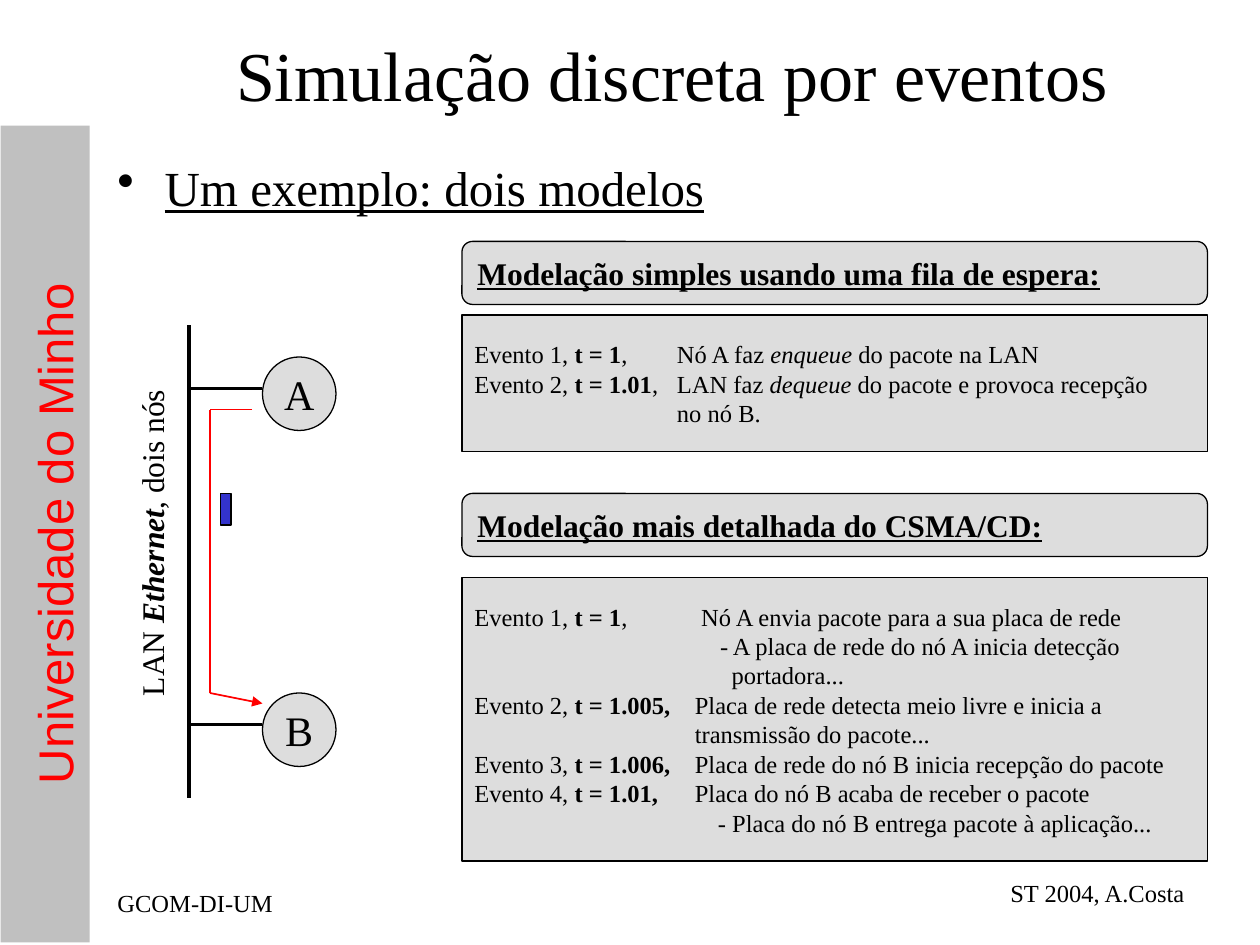
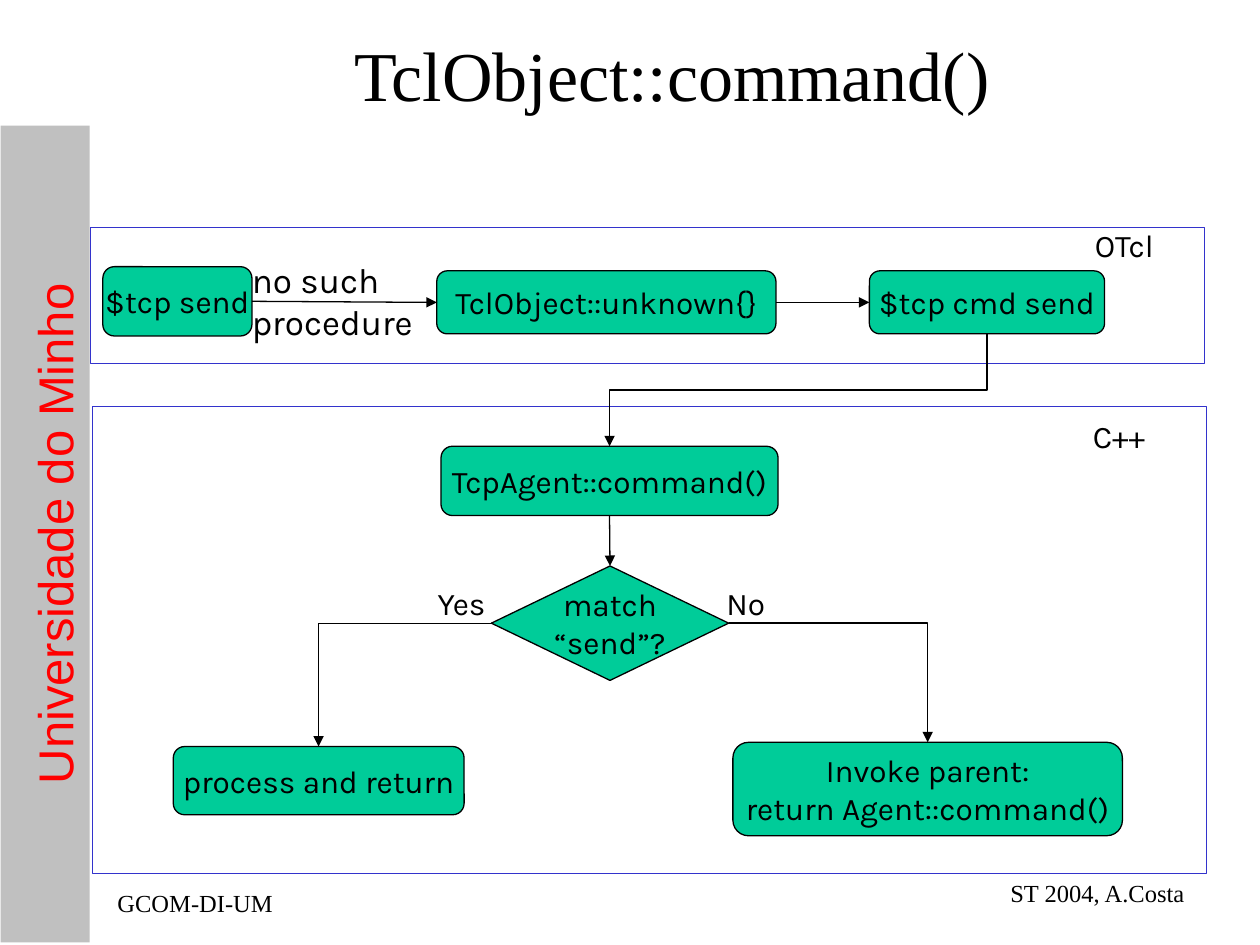
from dataclasses import dataclass

from lxml.etree import SubElement as Sub
from pptx import Presentation as Deck
from pptx.dml.color import RGBColor as Rgb
from pptx.enum.shapes import MSO_CONNECTOR as Wire, MSO_SHAPE as Form
from pptx.enum.text import MSO_ANCHOR as Hold, PP_ALIGN as Side
from pptx.oxml.ns import qn
from pptx.util import Inches, Pt

TOP, LEFT, BASE, RIGHT = range(4)


@dataclass(frozen=True)
class Theme:
    """Colours, fonts and type sizes of the deck."""
    ink: str = "000000"
    red: str = "FF0000"
    blue: str = "3333CC"
    green: str = "00CC99"
    grey: str = "DDDDDD"
    band: str = "C0C0C0"
    serif: str = "Times New Roman"
    sans: str = "Arial"
    code: str = "Karla"
    title: int = 40
    head: int = 28
    node: int = 24
    note: int = 20
    label: int = 18
    small: int = 14
    thin: float = 0.75
    mid: float = 1
    bold: float = 2.25


def grid(n):
    """Turn grid units, twelve to the inch, into a length."""
    return Inches(n / 12)


def say(frame, text, size, font, color, side=Side.LEFT, hold=Hold.MIDDLE,
        wrap=True, under=False, bold=False, lead=None, mark=None, pads=()):
    """Fill a frame with a string or a list of paragraphs made of styled runs."""
    frame.word_wrap = wrap
    frame.vertical_anchor = hold
    paras = [text] if isinstance(text, str) else text
    for i, para in enumerate(paras):
        p = frame.add_paragraph() if i else frame.paragraphs[0]
        p.alignment = side
        if lead:
            p.line_spacing = lead
        runs = [(para, "")] if isinstance(para, str) else para
        if pads:
            hang = mark or any("\t" in words for words, _ in runs)
            props = p._p.get_or_add_pPr()
            props.set("marL", str(grid(pads[i])))
            props.set("indent", str(-grid(pads[i]) if hang else 0))
            if mark:
                Sub(props, qn("a:buChar")).set("char", mark)
        for words, style in runs:
            if words == "\v":
                p.add_line_break()
                continue
            run = p.add_run()
            run.text = words
            run.font.size = Pt(size)
            run.font.name = font
            run.font.color.rgb = Rgb.from_string(color)
            run.font.bold = bold or "b" in style
            run.font.italic = "i" in style
            run.font.underline = under


class Board:
    """Draws elements on the current slide in one style."""

    def __init__(self, deck, theme):
        """Keep the deck and its theme."""
        self.deck, self.look, self.page = deck, theme, None

    def open(self, title):
        """Start a slide with its side band, title and footers."""
        t = self.look
        self.page = self.deck.slides.add_slide(self.deck.slide_layouts[6])
        band = self.box(-34.6, 46.6, 77.8, 8.5, fill=t.band, line=None)
        band.rotation = 270
        say(band.text_frame, "Universidade do Minho", t.head, t.sans, t.red,
            side=Side.CENTER, hold=Hold.TOP, lead=1.3)
        self.text(10, 84, 25, 4, "GCOM-DI-UM", t.small)
        self.text(89, 83, 25, 4, "ST 2004, A.Costa", t.small, side=Side.RIGHT)
        self.text(10, 2, 108, 10, title, t.title, side=Side.CENTER)

    def text(self, x, y, w, h, words, size, font=None, **fmt):
        """Place a text box."""
        box = self.page.shapes.add_textbox(*map(grid, (x, y, w, h)))
        say(box.text_frame, words, size, font or self.look.serif,
            self.look.ink, **fmt)
        return box

    def box(self, x, y, w, h, form=Form.RECTANGLE, fill=None, line=Theme.ink):
        """Place a preset shape."""
        shape = self.page.shapes.add_shape(form, *map(grid, (x, y, w, h)))
        shape.shadow.inherit = False
        if fill:
            shape.fill.solid()
            shape.fill.fore_color.rgb = Rgb.from_string(fill)
        else:
            shape.fill.background()
        if line:
            shape.line.color.rgb = Rgb.from_string(line)
            shape.line.width = Pt(self.look.thin)
        else:
            shape.line.fill.background()
        return shape

    def node(self, x, y, name):
        """Place a round network node."""
        t = self.look
        ring = self.box(x, y, 7, 7, Form.OVAL, t.grey)
        say(ring.text_frame, name, t.node, t.serif, t.ink,
            side=Side.CENTER, wrap=False)

    def step(self, x, y, w, h, words, form=Form.ROUNDED_RECTANGLE):
        """Place a flowchart step."""
        t = self.look
        shape = self.box(x, y, w, h, form, t.green)
        say(shape.text_frame, words, t.label, t.code, t.ink,
            side=Side.CENTER, wrap=False)
        return shape

    def panel(self, top, head, start, tall, rows):
        """Place a heading bar over a list of events."""
        t = self.look
        bar = self.box(44, top, 71, 6, Form.ROUNDED_RECTANGLE, t.grey)
        say(bar.text_frame, head, t.label, t.serif, t.ink, bold=True, under=True)
        body = self.box(44, start, 71, tall, fill=t.grey)
        say(body.text_frame, [runs for _, runs in rows], t.small, t.serif,
            t.ink, pads=[pad for pad, _ in rows])

    def ink(self, wire, color, width, arrow):
        """Style a connector."""
        wire.line.color.rgb = Rgb.from_string(color)
        wire.line.width = Pt(width)
        props = wire.element.spPr
        if arrow:
            Sub(props.find(qn("a:ln")), qn("a:tailEnd")).set("type", "triangle")
        Sub(props, qn("a:effectLst"))

    def line(self, x, y, to_x, to_y, color, width, arrow=False):
        """Draw a straight line."""
        wire = self.page.shapes.add_connector(
            Wire.STRAIGHT, *map(grid, (x, y, to_x, to_y)))
        self.ink(wire, color, width, arrow)

    def link(self, a, out, b, into, bend=None):
        """Join two shapes by an arrow, straight or bent."""
        kind = Wire.ELBOW if bend else Wire.STRAIGHT
        wire = self.page.shapes.add_connector(kind, 0, 0, 0, 0)
        wire.begin_connect(a, out)
        wire.end_connect(b, into)
        if bend == "corner":
            wire.element.spPr.find(qn("a:prstGeom")).set("prst", "bentConnector2")
        elif bend == "drop":
            x, y, w, h = wire.left, wire.top, wire.width, wire.height
            wire.left, wire.top = x + (w - h) // 2, y + (h - w) // 2
            wire.width, wire.height = h, w
            wire.element.flipH = False
            wire.rotation = 90
        self.ink(wire, self.look.ink, self.look.thin, True)


def event(num, time, tail):
    """Make the runs of one event line."""
    return [(f"Evento {num}, ", ""), (time, "b"), *tail]


def models(board):
    """Draw the slide with two models of one network."""
    t = board.look
    board.open("Simulação discreta por eventos")
    board.text(10, 14.4, 108, 6, "Um exemplo: dois modelos", t.head,
               hold=Hold.TOP, under=True, mark="•", pads=[4.5])
    board.line(18, 31, 18, 76, t.ink, t.bold)
    for name, y, wire in (("A", 34, 37), ("B", 66, 69)):
        board.line(18, wire, 25, wire, t.ink, t.bold)
        board.node(25, y, name)
    board.line(24, 39, 20, 39, t.red, t.mid)
    board.line(20, 39, 20, 66, t.red, t.mid)
    board.line(20, 66, 25, 67, t.red, t.mid, arrow=True)
    board.box(21, 47, 1, 3, fill=t.blue)
    lan = [[("LAN ", ""), ("Ethernet", "bi"), (", dois nós", "")]]
    label = board.text(-1.7, 49.3, 32.3, 4.8, lan, t.label,
                       side=Side.CENTER, hold=Hold.TOP, wrap=False)
    label.rotation = 270
    board.panel(23, "Modelação simples usando uma fila de espera:", 30, 13, [
        (19.3, event(1, "t = 1", [
            (",\tNó A faz ", ""), ("enqueue", "i"),
            (" do pacote na LAN", "")])),
        (19.3, event(2, "t = 1.01", [
            (",\tLAN faz ", ""), ("dequeue", "i"),
            (" do pacote e provoca recepção", ""), ("\v", ""),
            ("no nó B.", "")])),
    ])
    board.panel(47, "Modelação mais detalhada do CSMA/CD:", 55, 27, [
        (21.6, event(1, "t = 1", [
            (",\tNó A envia pacote para a sua placa de rede", "")])),
        (23.4, "- A placa de rede do nó A inicia detecção"),
        (24.5, "portadora..."),
        (21, event(2, "t = 1.005,", [
            ("\tPlaca de rede detecta meio livre e inicia a", "")])),
        (21, "transmissão do pacote..."),
        (21, event(3, "t = 1.006,", [
            ("\tPlaca de rede do nó B inicia recepção do pacote", "")])),
        (21, event(4, "t = 1.01,", [
            ("\tPlaca do nó B acaba de receber o pacote", "")])),
        (23.2, "- Placa do nó B entrega pacote à aplicação..."),
    ])


def command(board):
    """Draw the slide with the command flowchart."""
    t = board.look
    board.open("TclObject::command()")
    board.box(8.6, 21.7, 106.1, 12.9, line=t.blue)
    board.box(8.8, 38.7, 106.1, 44.5, line=t.blue)
    send = board.step(9.8, 25.4, 14.2, 6.6, "$tcp send")
    lost = board.step(41.6, 25.8, 32.3, 6, "TclObject::unknown{}")
    cmd = board.step(82.8, 25.8, 22.4, 6, "$tcp cmd send")
    agent = board.step(42, 42.5, 32.1, 6.6, "TcpAgent::command()")
    test = board.step(46.8, 53.9, 22.6, 10.9, ["match", "“send”?"], Form.DIAMOND)
    up = board.step(69.8, 70.7, 37.1, 8.9,
                    ["Invoke parent:", "return Agent::command()"])
    done = board.step(16.5, 71.1, 27.7, 6.5, "process and return")
    board.link(send, RIGHT, lost, LEFT)
    board.link(lost, RIGHT, cmd, LEFT)
    board.link(cmd, BASE, agent, TOP, "drop")
    board.link(agent, BASE, test, TOP)
    board.link(test, LEFT, done, TOP, "corner")
    board.link(test, RIGHT, up, TOP, "corner")
    for x, y, w, h, words, size in (
            (22.8, 24, 18.7, 9.2, ["no such", "procedure"], t.note),
            (40.5, 55, 7.2, 4.8, "Yes", t.label),
            (68, 55, 6.4, 4.8, "No", t.label),
            (103.1, 20.9, 8, 4.8, "OTcl", t.label),
            (102.9, 39.1, 8, 4.8, "C++", t.label)):
        board.text(x, y, w, h, words, size, t.code, hold=Hold.TOP, wrap=False)


def main():
    """Build and save the deck."""
    deck = Deck()
    deck.slide_width, deck.slide_height = grid(120), grid(90)
    board = Board(deck, Theme())
    models(board)
    command(board)
    deck.save("out.pptx")


if __name__ == "__main__":
    main()
